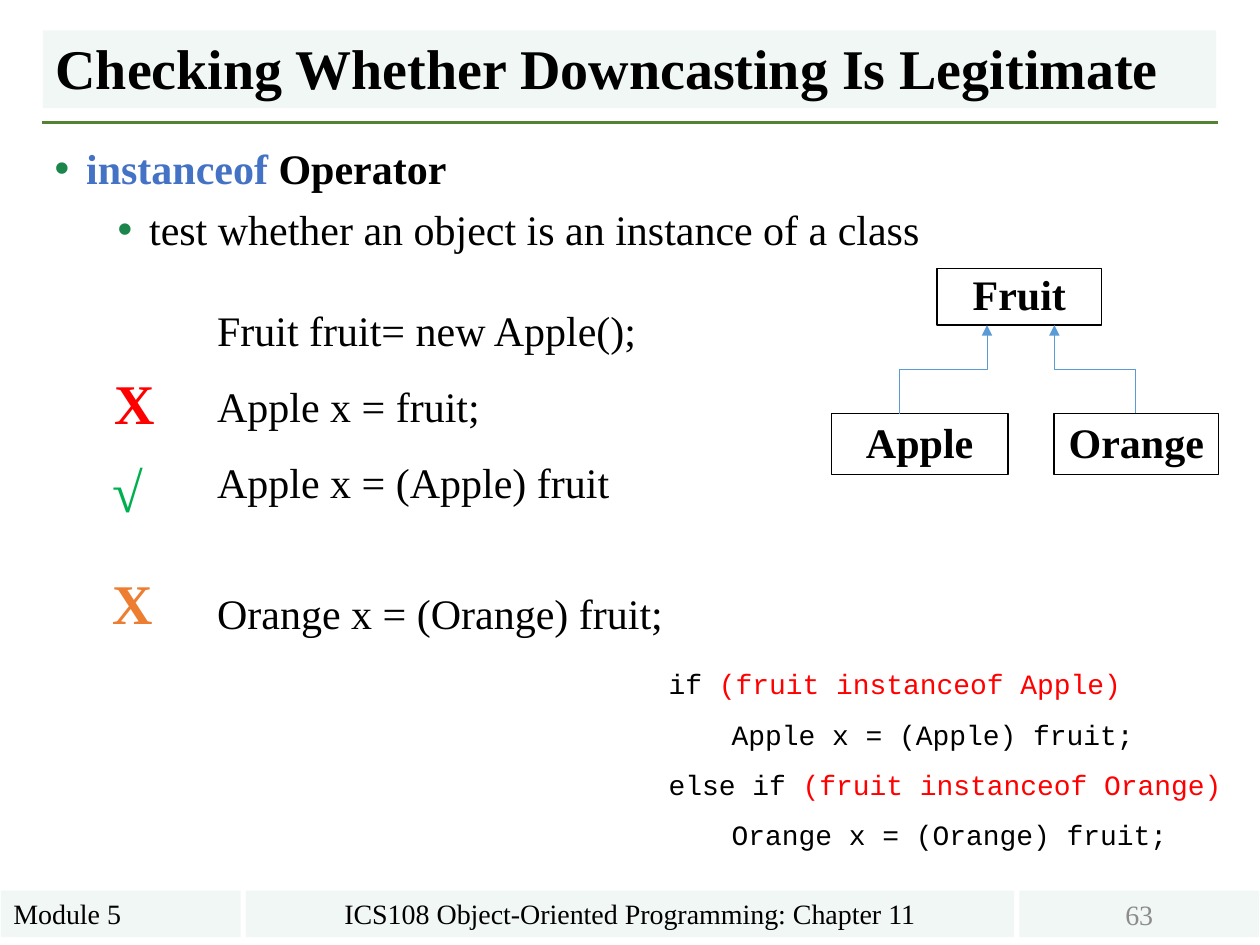
"""Builds a slide on checking whether downcasting is legitimate."""
from lxml import etree
from pptx import Presentation
from pptx.dml import color
from pptx.enum import shapes, text
from pptx.oxml import ns
from pptx.util import Pt

SERIF, MONO = "Times New Roman", "Courier New"
BLACK, PALE, RED = "000000", "F1F7F4", "FF0000"
LEFT, CENTER = text.PP_ALIGN.LEFT, text.PP_ALIGN.CENTER
TOP, MIDDLE, BOTTOM = text.MSO_ANCHOR.TOP, text.MSO_ANCHOR.MIDDLE, text.MSO_ANCHOR.BOTTOM


def rgb(value):
    """Turn a hex string into a colour."""
    return color.RGBColor.from_string(value)


def style(span, size, ink=BLACK, bold=False, face=SERIF):
    """Format one run."""
    span.font.size, span.font.bold, span.font.name = Pt(size), bold, face
    span.font.color.rgb = rgb(ink)


def write(shape, lines, size, bold=False, face=SERIF, align=LEFT, anchor=TOP, spacing=1.0, wrap=True):
    """Fill a shape with lines, each a list of (words, colour) pairs."""
    frame = shape.text_frame
    frame.word_wrap, frame.vertical_anchor = wrap, anchor
    frame.auto_size = text.MSO_AUTO_SIZE.NONE
    for index, line in enumerate(lines):
        para = frame.add_paragraph() if index else frame.paragraphs[0]
        para.alignment, para.line_spacing = align, spacing
        for words, ink in line:
            span = para.add_run()
            span.text = words
            style(span, size, ink, bold, face)
    return frame.paragraphs


def place(shape, box):
    """Move a placeholder to a box given in points."""
    shape.left, shape.top, shape.width, shape.height = map(Pt, box)


def indent(para, margin, hanging=0):
    """Set the left margin and first-line indent of a paragraph."""
    props = para._p.get_or_add_pPr()
    props.set("marL", str(Pt(margin)))
    props.set("indent", str(Pt(hanging)))
    return props


def add_bullet(para, margin):
    """Give a paragraph a green hanging bullet."""
    props = indent(para, margin, -18)
    tint = etree.SubElement(props, ns.qn("a:buClr"))
    etree.SubElement(tint, ns.qn("a:srgbClr"), val="1A864B")
    etree.SubElement(props, ns.qn("a:buFont"), typeface="Arial")
    etree.SubElement(props, ns.qn("a:buChar"), char="•")


def add_panel(page, box, fill=None, line=None):
    """Add a flat rectangle."""
    panel = page.shapes.add_shape(shapes.MSO_SHAPE.RECTANGLE, *map(Pt, box))
    panel.shadow.inherit = False
    if fill:
        panel.fill.solid()
        panel.fill.fore_color.rgb = rgb(fill)
    else:
        panel.fill.background()
    if line:
        panel.line.color.rgb, panel.line.width = rgb(line), Pt(0.75)
    else:
        panel.line.fill.background()
    return panel


def add_line(page, kind, ends, ink, width):
    """Add a connector without a shadow."""
    line = page.shapes.add_connector(kind, *map(Pt, ends))
    line.line.color.rgb, line.line.width = rgb(ink), Pt(width)
    etree.SubElement(line._element.spPr, ns.qn("a:effectLst"))
    return line


def add_rising_arrow(page, start, end):
    """Add an elbow arrow that leaves and arrives vertically."""
    (x1, y1), (x2, y2) = start, end
    x, y, rise, run = (x1 + x2) / 2, (y1 + y2) / 2, y1 - y2, x2 - x1
    ends = x - rise / 2, y - run / 2, x + rise / 2, y + run / 2
    arrow = add_line(page, shapes.MSO_CONNECTOR.ELBOW, ends, "5B9BD5", 0.5)
    arrow._element.spPr.find(ns.qn("a:xfrm")).set("rot", str(270 * 60000))
    etree.SubElement(arrow.line._get_or_add_ln(), ns.qn("a:tailEnd"), type="triangle")


def add_heading(page, box):
    """Place the title on its band, with a rule below."""
    title = page.shapes.title
    place(title, box)
    title.fill.solid()
    title.fill.fore_color.rgb = rgb(PALE)
    write(title, [[("Checking Whether Downcasting Is Legitimate", BLACK)]], 32, True,
          anchor=BOTTOM, spacing=0.9)
    add_line(page, shapes.MSO_CONNECTOR.STRAIGHT, (24, 70, 696, 70), "548235", 1.5)


def add_points(page, box):
    """Place the bulleted list."""
    body = page.placeholders[1]
    place(body, box)
    lines = [[("instanceof", "4472C4"), (" Operator", BLACK)],
             [("test whether an object is an instance of a class", BLACK)]]
    first, second = write(body, lines, 24, True)
    second.level = 1
    second.runs[0].font.bold = False
    for para, margin, before in ((first, 18, 12), (second, 54, 6)):
        para.space_before = Pt(before)
        add_bullet(para, margin)


def add_class_tree(page, box):
    """Draw the Fruit class above its two subclasses."""
    left, top, width, height = box
    low = top + height - 35
    nodes = {"Fruit": (left + 60.5, top, 94, 32.5),
             "Orange": (left + width - 94, low, 94, 35),
             "Apple": (left, low, 101, 35)}
    for name, node in nodes.items():
        write(add_panel(page, node, line=BLACK), [[(name, BLACK)]], 24, True,
              align=CENTER, anchor=MIDDLE, spacing=0.93, wrap=False)
    for begin, end in ((39, 89), (174, 127.5)):
        add_rising_arrow(page, (left + begin, low), (left + end, top + 32.5))


def add_casts(page, box):
    """List the cast statements with a verdict mark beside each."""
    left, top, width, height = box
    statements = ["Fruit fruit= new Apple();", "Apple x = fruit;",
                  "Apple x = (Apple) fruit", "Orange x = (Orange) fruit;"]
    listing = page.shapes.add_textbox(*map(Pt, (left + 60, top, width - 60, height)))
    paras = write(listing, [[(words, BLACK)] for words in statements], 24, spacing=1.5)
    paras[-1].space_before = Pt(32)
    for mark, ink, x, y in (("X", RED, 1.5, 51), ("√", "00B050", 0, 101), ("X", "ED7D31", 0, 165)):
        verdict = page.shapes.add_textbox(*map(Pt, (left + x, top + y, 46, 51)))
        write(verdict, [[(mark, ink)]], 32, True)


def add_code(page, box):
    """Place the guarded cast code."""
    lines = [[("if ", BLACK), ("(fruit instanceof Apple)", RED)],
             [("Apple x = (Apple) fruit;", BLACK)],
             [("else if ", BLACK), ("(fruit instanceof Orange)", RED)],
             [("Orange x = (Orange) fruit;", BLACK)]]
    code = page.shapes.add_textbox(*map(Pt, box))
    for para in write(code, lines, 16, face=MONO, spacing=1.5)[1::2]:
        indent(para, 36)


def add_footer(page, box):
    """Place the three footer bands."""
    left, top, width, height = box
    side, gap = 137, 3
    middle = width - 2 * (side + gap)
    cells = [("Module 5", side, BLACK, LEFT, TOP),
             ("ICS108 Object-Oriented Programming: Chapter 11", middle, BLACK, CENTER, TOP),
             ("63", side, "8C8C8C", CENTER, MIDDLE)]
    for words, span, ink, align, anchor in cells:
        panel = add_panel(page, (left, top, span, height), PALE)
        write(panel, [[(words, ink)]], 16, align=align, anchor=anchor)
        left += span + gap


def main():
    """Build and save the slide."""
    deck = Presentation()
    deck.slide_width, deck.slide_height = Pt(720), Pt(540)
    page = deck.slides.add_slide(deck.slide_layouts[1])
    add_footer(page, (0.5, 509, 719, 26.6))
    add_heading(page, (24.5, 17.3, 670.5, 44.6))
    add_points(page, (24, 78, 672, 422))
    add_class_tree(page, (475, 153.3, 221.4, 118))
    add_casts(page, (57, 156.3, 356, 214))
    add_code(page, (375, 368, 335, 124))
    deck.save("out.pptx")


if __name__ == "__main__":
    main()
